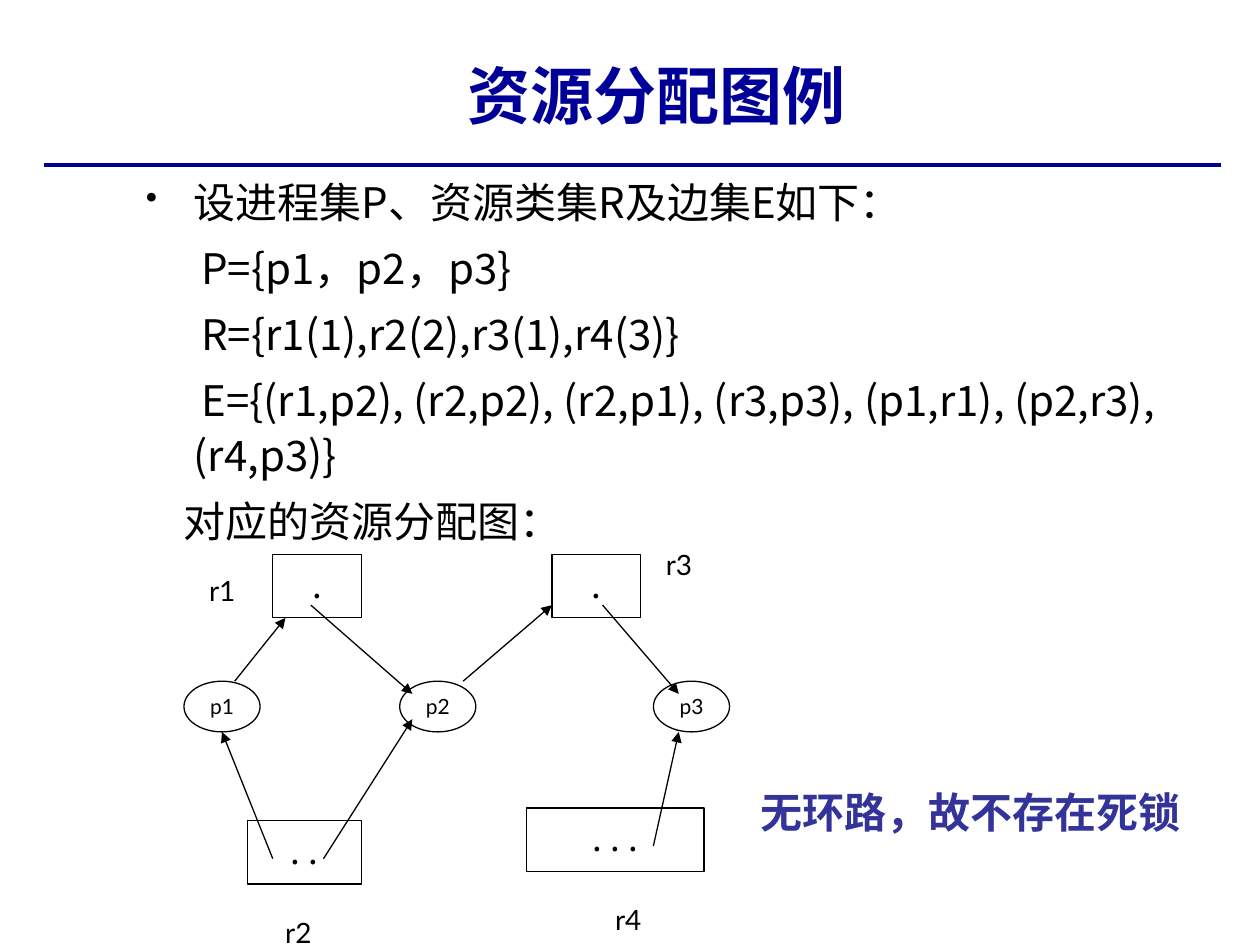
from lxml.etree import SubElement
from pptx import Presentation
from pptx.dml.color import RGBColor
from pptx.enum.shapes import MSO_CONNECTOR, MSO_SHAPE
from pptx.enum.text import MSO_ANCHOR, PP_ALIGN
from pptx.oxml.ns import qn
from pptx.util import Inches, Pt

WIDTH, HEIGHT = 10, 7.5
LATIN, CJK = "Lato", "Noto Sans CJK SC"
BLACK, WHITE, NAVY, INDIGO = "000000", "FFFFFF", "000099", "333399"
COLUMNS, ROWS = 43, 33

DEFINITIONS = [
    ("设进程集P、资源类集R及边集E如下：", -0.38),
    ("P={p1，p2，p3}", 0.06),
    ("R={r1(1),r2(2),r3(1),r4(3)}", 0.06),
    ("E={(r1,p2), (r2,p2), (r2,p1), (r3,p3), (p1,r1), (p2,r3), (r4,p3)}", 0.06),
    ("对应的资源分配图：", -0.08),
]
PROCESSES = [("p2", 17), ("p1", 0), ("p3", 37)]
RESOURCES = [
    (".", 7, 1, 7),
    (".", 29, 1, 7),
    (". .", 5, 22, 9),
    (". . .", 27, 21, 14),
]
RESOURCE_NAMES = [("r1", 1, 2), ("r3", 37, 0), ("r2", 7, 29), ("r4", 33, 28)]
EDGES = [
    ((10, 5), (18, 12)),
    ((11, 25), (18, 14)),
    ((7, 25), (3, 15)),
    ((33, 5), (39, 12)),
    ((4, 11), (8, 6)),
    ((22, 11), (29, 5)),
    ((37, 24), (39, 15)),
]


def rgb(value):
    return RGBColor.from_string(value)


def style(paragraph, size, face, color, bold=False):
    font = paragraph.font
    font.size, font.name, font.bold = Pt(size), face, bold
    font.color.rgb = rgb(color)


def add_line(slide, start, end, color, weight, arrow=False):
    line = slide.shapes.add_connector(
        MSO_CONNECTOR.STRAIGHT, *map(Inches, (*start, *end)))
    line.line.color.rgb = rgb(color)
    line.line.width = Pt(weight)
    properties = line._element.spPr
    if arrow:
        SubElement(properties.find(qn("a:ln")), qn("a:tailEnd"), type="triangle")
    SubElement(properties, qn("a:effectLst"))


def add_text(slide, box, text, size, color, bold=False,
             align=PP_ALIGN.LEFT, anchor=MSO_ANCHOR.TOP):
    frame = slide.shapes.add_textbox(*map(Inches, box)).text_frame
    frame.word_wrap = True
    frame.vertical_anchor = anchor
    paragraph = frame.paragraphs[0]
    paragraph.text = text
    paragraph.alignment = align
    style(paragraph, size, LATIN, color, bold)


def add_node(slide, kind, box, text, size, face, spacing):
    node = slide.shapes.add_shape(kind, *map(Inches, box))
    node.shadow.inherit = False
    node.fill.solid()
    node.fill.fore_color.rgb = rgb(WHITE)
    node.line.color.rgb = rgb(BLACK)
    node.line.width = Pt(0.75)
    frame = node.text_frame
    frame.word_wrap = False
    frame.vertical_anchor = MSO_ANCHOR.MIDDLE
    paragraph = frame.paragraphs[0]
    paragraph.text = text
    paragraph.alignment = PP_ALIGN.CENTER
    paragraph.line_spacing = spacing
    style(paragraph, size, face, BLACK)


def add_heading(slide, box):
    left, top, width, height = box
    add_line(slide, (left, top + height), (left + width, top + height), NAVY, 2.5)
    title = (left + 1.06, top, width - 1.74, height - 0.21)
    add_text(slide, title, "资源分配图例", 36, NAVY, True,
             PP_ALIGN.CENTER, MSO_ANCHOR.BOTTOM)


def add_definitions(slide, box):
    frame = slide.shapes.add_textbox(*map(Inches, box)).text_frame
    frame.word_wrap = True
    for index, (text, indent) in enumerate(DEFINITIONS):
        paragraph = frame.add_paragraph() if index else frame.paragraphs[0]
        paragraph.text = text
        paragraph.line_spacing = 1.1
        paragraph.space_before = Pt(6 if index else 0)
        properties = paragraph._p.get_or_add_pPr()
        properties.set("marL", str(Inches(0.38)))
        properties.set("indent", str(Inches(indent)))
        if index:
            SubElement(properties, qn("a:buNone"))
        else:
            SubElement(properties, qn("a:buSzPct"), val="80000")
            SubElement(properties, qn("a:buChar"), char="•")
        style(paragraph, 24, CJK, BLACK)


def add_allocation_graph(slide, box):
    left, top, width, height = box
    column, row = width / COLUMNS, height / ROWS

    def point(x, y):
        return left + x * column, top + y * row

    def cell(x, y, columns, rows):
        return (*point(x, y), columns * column, rows * row)

    for name, x in PROCESSES:
        add_node(slide, MSO_SHAPE.OVAL, cell(x, 11, 6, 4), name, 12, LATIN, 1.0)
    for units, x, y, columns in RESOURCES:
        add_node(slide, MSO_SHAPE.RECTANGLE, cell(x, y, columns, 5),
                 units, 20, CJK, 0.95)
    for name, x, y in RESOURCE_NAMES:
        add_text(slide, cell(x, y, 5, 3.7), name, 16, BLACK)
    for start, end in EDGES:
        add_line(slide, point(*start), point(*end), BLACK, 0.75, arrow=True)


def add_conclusion(slide, box):
    add_text(slide, box, "无环路，故不存在死锁", 24, INDIGO, True)


def main():
    deck = Presentation()
    deck.slide_width, deck.slide_height = Inches(WIDTH), Inches(HEIGHT)
    slide = deck.slides.add_slide(deck.slide_layouts[6])
    add_heading(slide, (0.35, 0.21, 9.34, 1.1))
    add_definitions(slide, (1.06, 1.31, 8.5, 3.15))
    add_allocation_graph(slide, (1.46, 4.3, 4.33, 3.32))
    add_conclusion(slide, (5.94, 6.19, 3.9, 0.5))
    deck.save("out.pptx")


if __name__ == "__main__":
    main()
